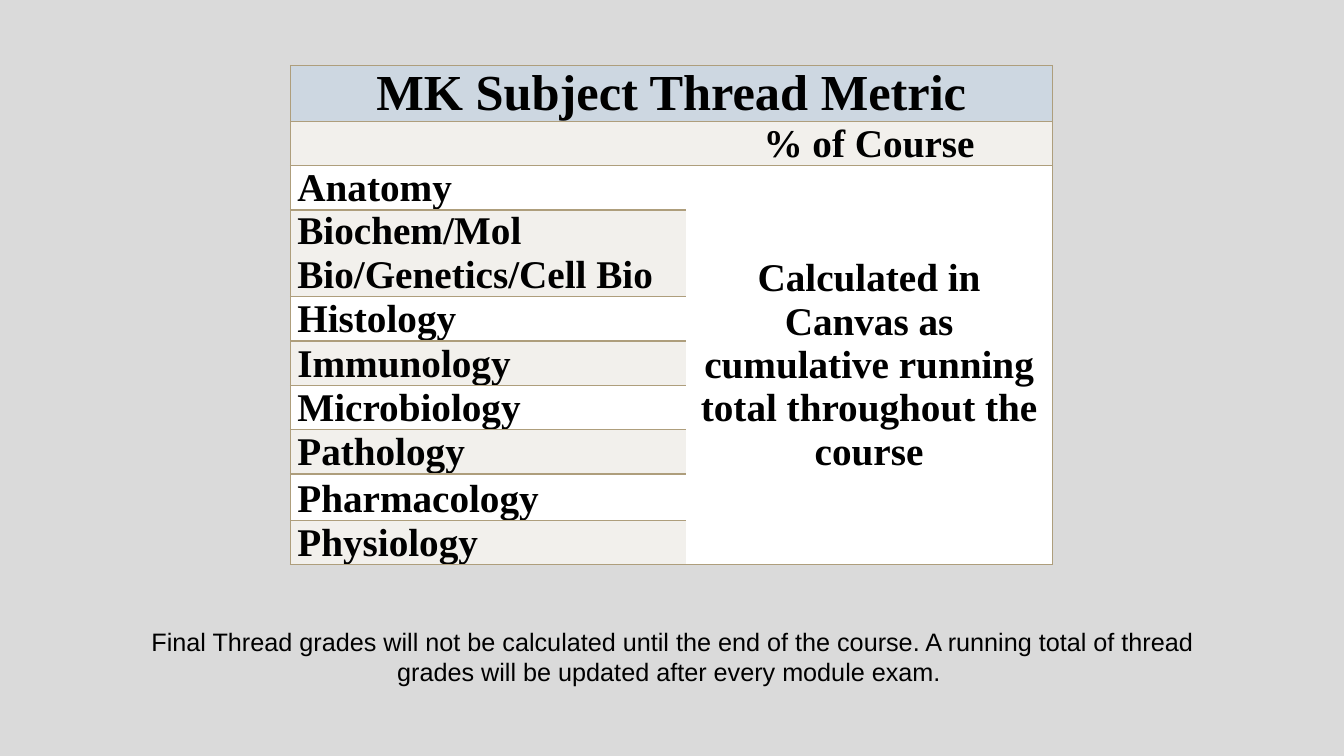
import pptx
import pptx.dml.color
import pptx.enum.text
import pptx.oxml
import pptx.oxml.ns
import pptx.util
from pptx.util import Inches

CENTER = pptx.enum.text.PP_ALIGN.CENTER
LEFT = pptx.enum.text.PP_ALIGN.LEFT
MIDDLE = pptx.enum.text.MSO_ANCHOR.MIDDLE
BOTTOM = pptx.enum.text.MSO_ANCHOR.BOTTOM
NO_STYLE = "{2D5ABB26-0587-4C30-8999-92F81FD0307C}"
NS = pptx.oxml.ns.nsdecls("a")


def color(hex_value):
    return pptx.dml.color.RGBColor.from_string(hex_value)


class MetricSlide:
    ink = "000000"
    border = "AE9E7C"
    table_font = "Times New Roman"
    note_font = "Arial"

    def __init__(self, deck, background):
        self.slide = deck.slides.add_slide(deck.slide_layouts[6])
        self.slide.background.fill.solid()
        self.slide.background.fill.fore_color.rgb = color(background)

    def add_text(self, frame, text, size, font, bold=False, align=CENTER):
        paragraph = frame.paragraphs[0]
        paragraph.alignment = align
        run = paragraph.add_run()
        run.text = text
        run.font.size = pptx.util.Pt(size)
        run.font.name = font
        run.font.bold = bold
        run.font.color.rgb = color(self.ink)
        return paragraph

    def table(self, left, top, widths, row_height, row_count):
        frame = self.slide.shapes.add_table(
            row_count, len(widths), Inches(left), Inches(top),
            Inches(sum(widths)), Inches(row_height * row_count))
        grid = frame.table
        grid.first_row = False
        grid.horz_banding = False
        frame._element.xpath(".//a:tableStyleId")[0].text = NO_STYLE
        for column, width in zip(grid.columns, widths):
            column.width = Inches(width)
        return grid

    def cell(self, cell, fill, sides, text="", size=28, align=LEFT, anchor=BOTTOM, alpha=None):
        cell.margin_left = cell.margin_right = Inches(0.07)
        cell.margin_top = cell.margin_bottom = 0
        cell.vertical_anchor = anchor
        cell.fill.solid()
        cell.fill.fore_color.rgb = color(fill)
        properties = cell._tc.get_or_add_tcPr()
        if alpha:
            tint = properties.xpath("./a:solidFill/a:srgbClr")[0]
            tint.append(pptx.oxml.parse_xml(f'<a:alpha {NS} val="{alpha * 1000}"/>'))
        for position, side in enumerate(side for side in "LRTB" if side in sides):
            properties.insert(position, pptx.oxml.parse_xml(
                f'<a:ln{side} {NS} w="12700"><a:solidFill>'
                f'<a:srgbClr val="{self.border}"/></a:solidFill></a:ln{side}>'))
        if text:
            return self.add_text(cell.text_frame, text, size, self.table_font, True, align)

    def note(self, left, top, width, height, text, size):
        box = self.slide.shapes.add_textbox(*map(Inches, (left, top, width, height)))
        box.text_frame.word_wrap = True
        self.add_text(box.text_frame, text, size, self.note_font)


def main():
    deck = pptx.Presentation()
    deck.slide_width, deck.slide_height = Inches(13.33), Inches(7.5)
    page = MetricSlide(deck, "DADADA")

    subjects = ["Anatomy", "Biochem/Mol Bio/Genetics/Cell Bio", "Histology", "Immunology",
                "Microbiology", "Pathology", "Pharmacology", "Physiology"]
    bands = ["FFFFFF", "F2F0EC"]
    last = len(subjects) + 1
    metric = page.table(2.88, 0.65, [3.92, 3.64], 0.44, last + 1)
    metric.cell(0, 0).merge(metric.cell(0, 1))
    metric.cell(2, 1).merge(metric.cell(last, 1))

    page.cell(metric.cell(0, 0), "99CCFF", "LRTB", "MK Subject Thread Metric", 36, CENTER, alpha=20)
    page.cell(metric.cell(0, 1), "99CCFF", "RTB", alpha=20)
    page.cell(metric.cell(1, 0), bands[1], "LTB")
    page.cell(metric.cell(1, 1), bands[1], "RTB", "% of Course", align=CENTER)
    for row, subject in enumerate(subjects, 2):
        name = page.cell(metric.cell(row, 0), bands[row % 2], "LTB", subject)
        if subject == "Pharmacology":
            name.line_spacing = 1.07
        if row > 2:
            page.cell(metric.cell(row, 1), bands[0], "RB" if row == last else "R")
    page.cell(metric.cell(2, 1), bands[0], "RTB",
              "Calculated in Canvas as cumulative running total throughout the course",
              align=CENTER, anchor=MIDDLE)

    page.note(1.11, 6.16, 11.12, 0.71,
              "Final Thread grades will not be calculated until the end of the course. "
              "A running total of thread grades will be updated after every module exam. ", 18)
    deck.save("out.pptx")


if __name__ == "__main__":
    main()
